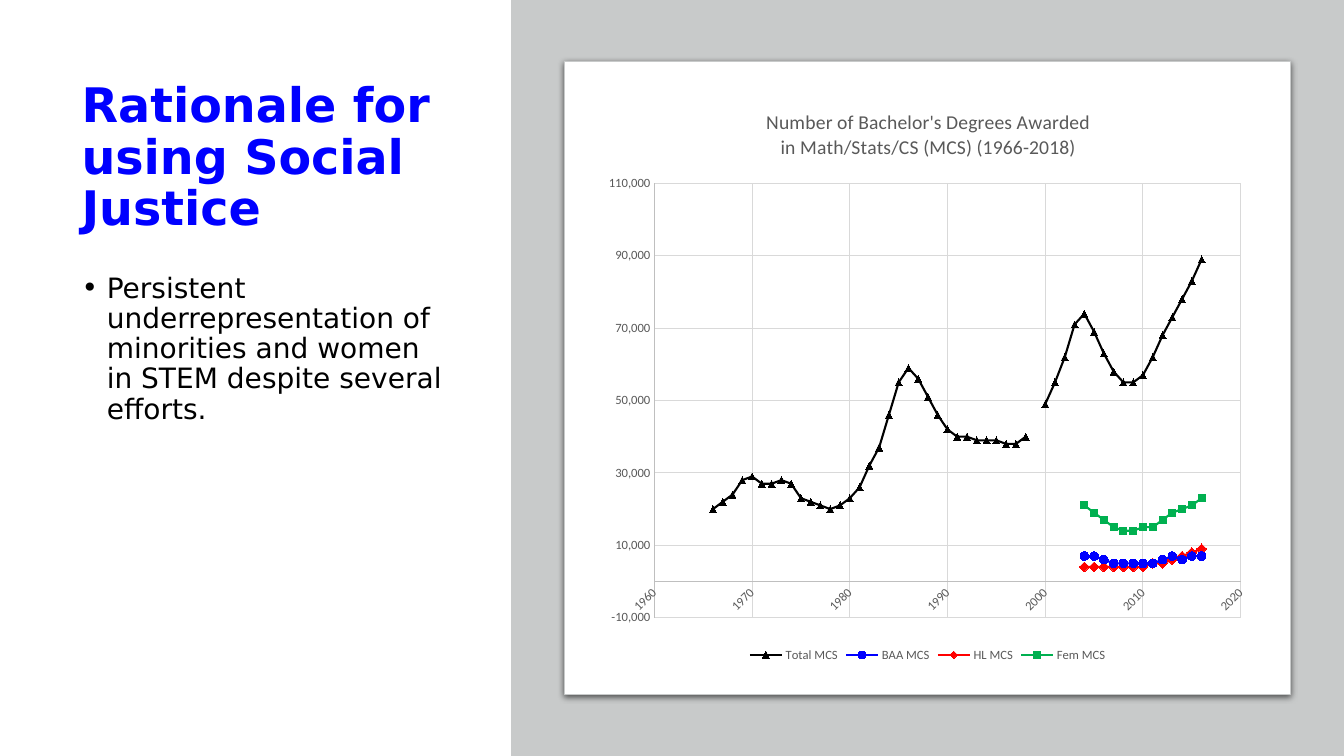
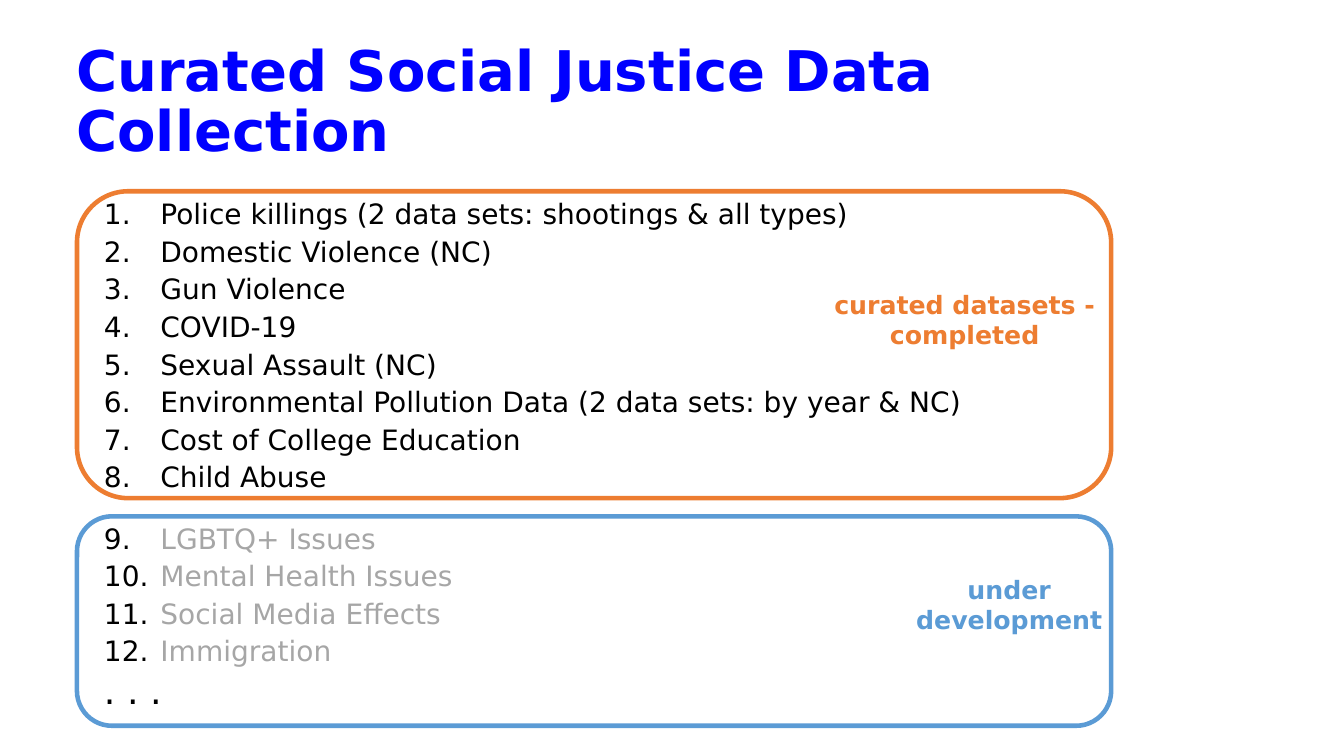
from lxml.etree import SubElement
from pptx import Presentation
from pptx.chart.data import XyChartData
from pptx.dml.color import RGBColor
from pptx.enum.chart import XL_CHART_TYPE as ChartType
from pptx.enum.chart import XL_LEGEND_POSITION as LegendPosition
from pptx.enum.chart import XL_MARKER_STYLE as Marker
from pptx.enum.chart import XL_TICK_MARK as TickMark
from pptx.enum.shapes import MSO_SHAPE as Preset
from pptx.enum.text import MSO_ANCHOR as Anchor
from pptx.enum.text import PP_ALIGN as Align
from pptx.oxml.ns import qn
from pptx.util import Inches, Pt

SLIDE_WIDTH, SLIDE_HEIGHT = Inches(13.33), Inches(7.5)
BLACK = RGBColor(0x00, 0x00, 0x00)
WHITE = RGBColor(0xFF, 0xFF, 0xFF)
BLUE = RGBColor(0x00, 0x00, 0xFF)
RED = RGBColor(0xFF, 0x00, 0x00)
GREEN = RGBColor(0x00, 0xB0, 0x50)
ORANGE = RGBColor(0xED, 0x7D, 0x31)
SKY = RGBColor(0x5B, 0x9B, 0xD5)
PANEL_GRAY = RGBColor(0xC8, 0xCA, 0xCA)
PENDING_GRAY = RGBColor(0xA6, 0xA6, 0xA6)
CHART_TEXT = RGBColor(0x59, 0x59, 0x59)
AXIS_GRAY = RGBColor(0xBF, 0xBF, 0xBF)
GRID_GRAY = RGBColor(0xD9, 0xD9, 0xD9)
TEXT_FONT, CHART_FONT = "DejaVu Sans", "Calibri"

COMPLETED = [
    "Police killings (2 data sets: shootings & all types)",
    "Domestic Violence (NC)",
    "Gun Violence",
    "COVID-19",
    "Sexual Assault (NC)",
    "Environmental Pollution Data (2 data sets: by year & NC)",
    "Cost of College Education",
    "Child Abuse",
]
PENDING = ["LGBTQ+ Issues", "Mental Health Issues", "Social Media Effects", "Immigration"]

YEARS = range(1966, 2017)
TOTAL_THOUSANDS = [
    20, 22, 24, 28, 29, 27, 27, 28, 27, 23, 22, 21, 20, 21, 23, 26, 32,
    37, 46, 55, 59, 56, 51, 46, 42, 40, 40, 39, 39, 39, 38, 38, 40, None,
    49, 55, 62, 71, 74, 69, 63, 58, 55, 55, 57, 62, 68, 73, 78, 83, 89,
]
DEGREES = [
    ("Total MCS", TOTAL_THOUSANDS, BLACK, Marker.TRIANGLE, 5),
    ("BAA MCS", [7, 7, 6, 5, 5, 5, 5, 5, 6, 7, 6, 7, 7], BLUE, Marker.CIRCLE, 6),
    ("HL MCS", [4, 4, 4, 4, 4, 4, 4, 5, 5, 6, 7, 8, 9], RED, Marker.DIAMOND, 7),
    ("Fem MCS", [21, 19, 17, 15, 14, 14, 15, 15, 17, 19, 20, 21, 23],
     GREEN, Marker.SQUARE, 5),
]


def percent_box(left, top, width, height):
    return (int(SLIDE_WIDTH * left / 100), int(SLIDE_HEIGHT * top / 100),
            int(SLIDE_WIDTH * width / 100), int(SLIDE_HEIGHT * height / 100))


def style_font(font, size, color, name=TEXT_FONT, bold=False):
    font.size, font.name, font.bold = Pt(size), name, bold
    font.color.rgb = color


def add_frame(slide, box, anchor=Anchor.TOP):
    frame = slide.shapes.add_textbox(*percent_box(*box)).text_frame
    frame.word_wrap = True
    frame.vertical_anchor = anchor
    return frame


def add_line(frame, text, size, color, bold=False, spacing=None, before=0, align=Align.LEFT):
    first = frame.paragraphs[0]
    paragraph = frame.add_paragraph() if first.runs else first
    paragraph.alignment = align
    paragraph.line_spacing = spacing
    paragraph.space_before = Pt(before)
    run = paragraph.add_run()
    run.text = text
    style_font(run.font, size, color, bold=bold)
    return paragraph


def add_marker(paragraph, indent, tag, **attributes):
    properties = paragraph._p.get_or_add_pPr()
    properties.set("marL", str(Inches(indent)))
    properties.set("indent", str(-Inches(indent)))
    color = SubElement(properties, qn("a:buClr"))
    SubElement(color, qn("a:srgbClr"), val=str(BLACK))
    SubElement(properties, qn("a:buFont"), typeface=TEXT_FONT)
    SubElement(properties, qn(tag), **attributes)


def add_title(slide, box, text, size):
    add_line(add_frame(slide, box, Anchor.MIDDLE), text, size, BLUE, bold=True, spacing=0.9)


def add_label(slide, box, lines, color):
    frame = add_frame(slide, box)
    for line in lines:
        add_line(frame, line, 18, color, bold=True, align=Align.CENTER)


def add_panel(slide, box, preset=Preset.RECTANGLE, fill=None, line=None, weight=0.75):
    shape = slide.shapes.add_shape(preset, *percent_box(*box))
    shape.shadow.inherit = False
    if fill is None:
        shape.fill.background()
    else:
        shape.fill.solid()
        shape.fill.fore_color.rgb = fill
    if line is None:
        shape.line.fill.background()
    else:
        shape.line.color.rgb = line
        shape.line.width = Pt(weight)
    return shape


def add_shadow(shape):
    effects = shape._element.spPr.find(qn("a:effectLst"))
    shadow = SubElement(effects, qn("a:outerShdw"), blurRad=str(Pt(4.5)),
                        dist=str(Pt(1.5)), dir="5400000", algn="t", rotWithShape="0")
    color = SubElement(shadow, qn("a:srgbClr"), val=str(BLACK))
    SubElement(color, qn("a:alpha"), val="63000")


def set_layout(element, index, **percents):
    layout = element.find(qn("c:layout"))
    if layout is not None:
        element.remove(layout)
    layout = SubElement(element, qn("c:layout"))
    element.insert(index, layout)
    manual = SubElement(layout, qn("c:manualLayout"))
    if "w" in percents:
        SubElement(manual, qn("c:layoutTarget"), val="inner")
    for axis in ("x", "y"):
        SubElement(manual, qn(f"c:{axis}Mode"), val="edge")
    for key, percent in percents.items():
        SubElement(manual, qn(f"c:{key}"), val=str(percent / 100))


def style_axis(axis, minimum, maximum, step, number_format):
    axis.minimum_scale, axis.maximum_scale, axis.major_unit = minimum, maximum, step
    axis.major_tick_mark = axis.minor_tick_mark = TickMark.NONE
    axis.has_major_gridlines = True
    for line, color in ((axis.major_gridlines.format.line, GRID_GRAY),
                        (axis.format.line, AXIS_GRAY)):
        line.color.rgb = color
        line.width = Pt(0.75)
    labels = axis.tick_labels
    labels.number_format, labels.number_format_is_linked = number_format, False
    style_font(labels.font, 9, CHART_TEXT, CHART_FONT)


def style_series(series, color, marker, size):
    series.smooth = False
    series.format.line.color.rgb = color
    series.format.line.width = Pt(1.5)
    series.marker.style, series.marker.size = marker, size
    series.marker.format.fill.solid()
    series.marker.format.fill.fore_color.rgb = color
    series.marker.format.line.color.rgb = color
    for point in list(series._element.iter(qn("c:pt"))):
        if point.find(qn("c:v")).text == "None":
            point.getparent().remove(point)


def add_chart_title(chart, lines):
    chart.has_title = True
    frame = chart.chart_title.text_frame
    for line in lines:
        paragraph = frame.add_paragraph() if frame.paragraphs[0].runs else frame.paragraphs[0]
        run = paragraph.add_run()
        run.text = line
        style_font(run.font, 14, CHART_TEXT, CHART_FONT)
    set_layout(chart.chart_title._element, 1, x=25.2, y=3)


def add_degree_chart(slide, box):
    data = XyChartData()
    for name, thousands, *_ in DEGREES:
        series = data.add_series(name)
        unknown = [None] * (len(YEARS) - len(thousands))
        for year, count in zip(YEARS, unknown + thousands):
            series.add_data_point(year, None if count is None else count * 1000)
    chart = slide.shapes.add_chart(ChartType.XY_SCATTER_LINES, *percent_box(*box), data).chart
    style_font(chart.font, 10, BLACK, CHART_FONT)
    add_chart_title(chart, ["Number of Bachelor's Degrees Awarded",
                            "in Math/Stats/CS (MCS) (1966-2018)"])
    plot = chart.plots[0]
    plot.vary_by_categories = False
    for series, (*_, color, marker, size) in zip(plot.series, DEGREES):
        style_series(series, color, marker, size)
    style_axis(chart.category_axis, 1960, 2020, 10, "General")
    style_axis(chart.value_axis, -10000, 110000, 20000, "#,##0")
    year_text = chart.category_axis._element.find(qn("c:txPr"))
    year_text.find(qn("a:bodyPr")).set("rot", "-2700000")
    chart.has_legend = True
    chart.legend.position = LegendPosition.BOTTOM
    chart.legend.include_in_layout = False
    style_font(chart.legend.font, 9, CHART_TEXT, CHART_FONT)
    plot_area = chart._chartSpace.chart.plotArea
    set_layout(plot_area, 0, x=8.8, y=16.4, w=88.4, h=75.2)


def build_rationale(slide):
    add_title(slide, (5.33, 9.2, 28.73, 23.6), "Rationale for using Social Justice", 34)
    body = add_frame(slide, (5.33, 35.6, 28.73, 55.2))
    reason = add_line(body, "Persistent underrepresentation of minorities and women "
                      "in STEM despite several efforts.", 20, BLACK, spacing=0.9, before=10)
    add_marker(reason, 0.25, "a:buChar", char="•")
    add_panel(slide, (38.03, 0, 61.97, 100), fill=PANEL_GRAY)
    add_shadow(add_panel(slide, (42, 8.13, 54, 83.73), fill=WHITE, line=PANEL_GRAY))
    add_degree_chart(slide, (44.34, 11.73, 49.36, 76.4))


def build_collection(slide):
    add_title(slide, (4.95, 4, 88.5, 19.33), "Curated Social Justice Data Collection", 40)
    body = add_frame(slide, (7, 26.6, 75.77, 70.67))
    for topics, color, first_gap in ((COMPLETED, BLACK, 0), (PENDING, PENDING_GRAY, 27)):
        for index, topic in enumerate(topics):
            before = 10 if index else first_gap
            item = add_line(body, topic, 20, color, spacing=0.7, before=before)
            add_marker(item, 0.56, "a:buAutoNum", type="arabicPeriod")
    add_line(body, ". . .", 26, BLACK, spacing=0.7, before=10)
    for top, height, color in ((25.3, 40.6, ORANGE), (68.3, 27.7, SKY)):
        add_panel(slide, (5.73, top, 76.95, height), Preset.ROUNDED_RECTANGLE,
                  line=color, weight=3.25)
    add_label(slide, (61.2, 37.6, 21.16, 10.67), ["curated datasets -", "completed"], ORANGE)
    add_label(slide, (67.4, 75.33, 15.38, 9.47), ["under", "development"], SKY)


def main():
    presentation = Presentation()
    presentation.slide_width, presentation.slide_height = SLIDE_WIDTH, SLIDE_HEIGHT
    for build in (build_rationale, build_collection):
        build(presentation.slides.add_slide(presentation.slide_layouts[6]))
    presentation.save("out.pptx")


if __name__ == "__main__":
    main()
